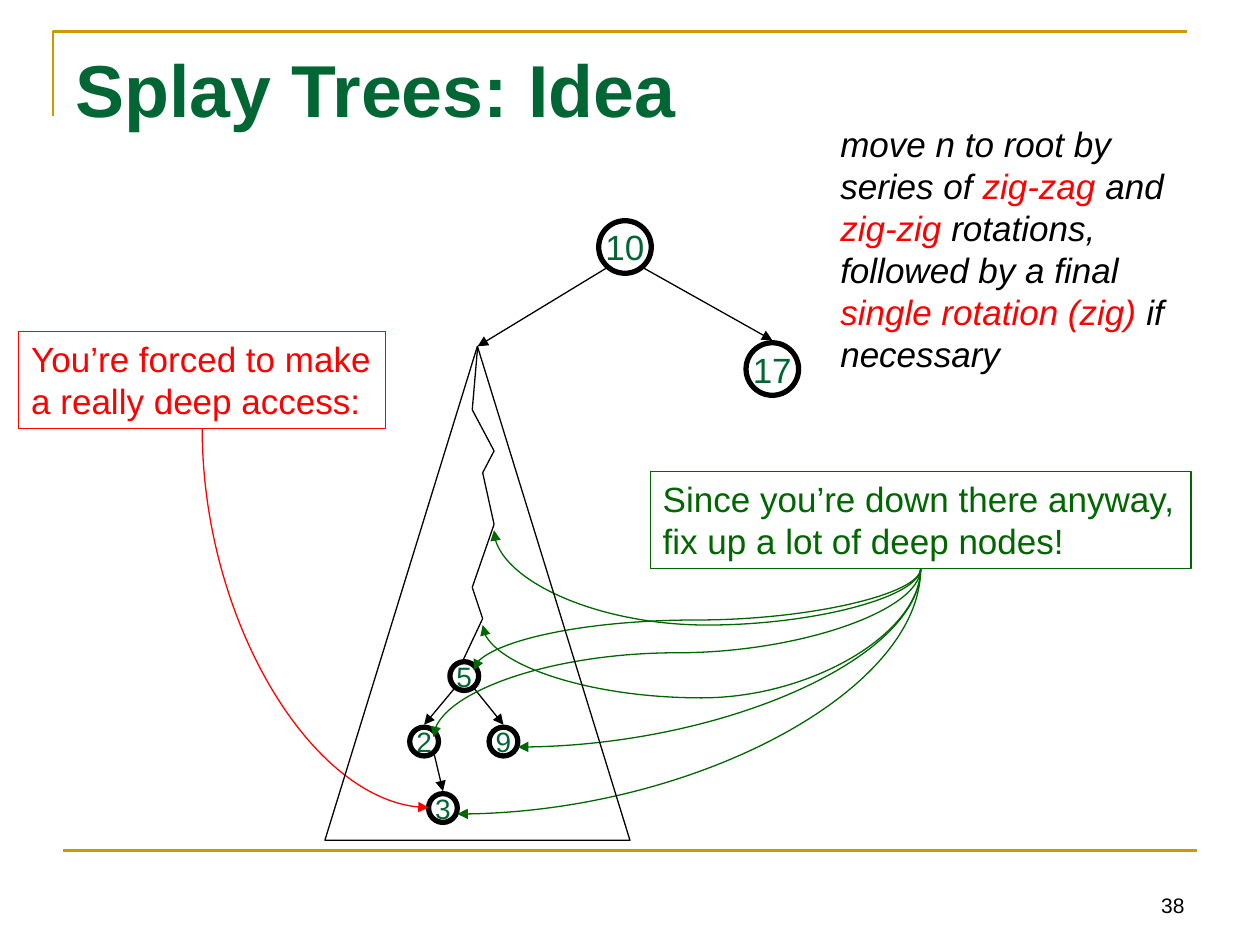
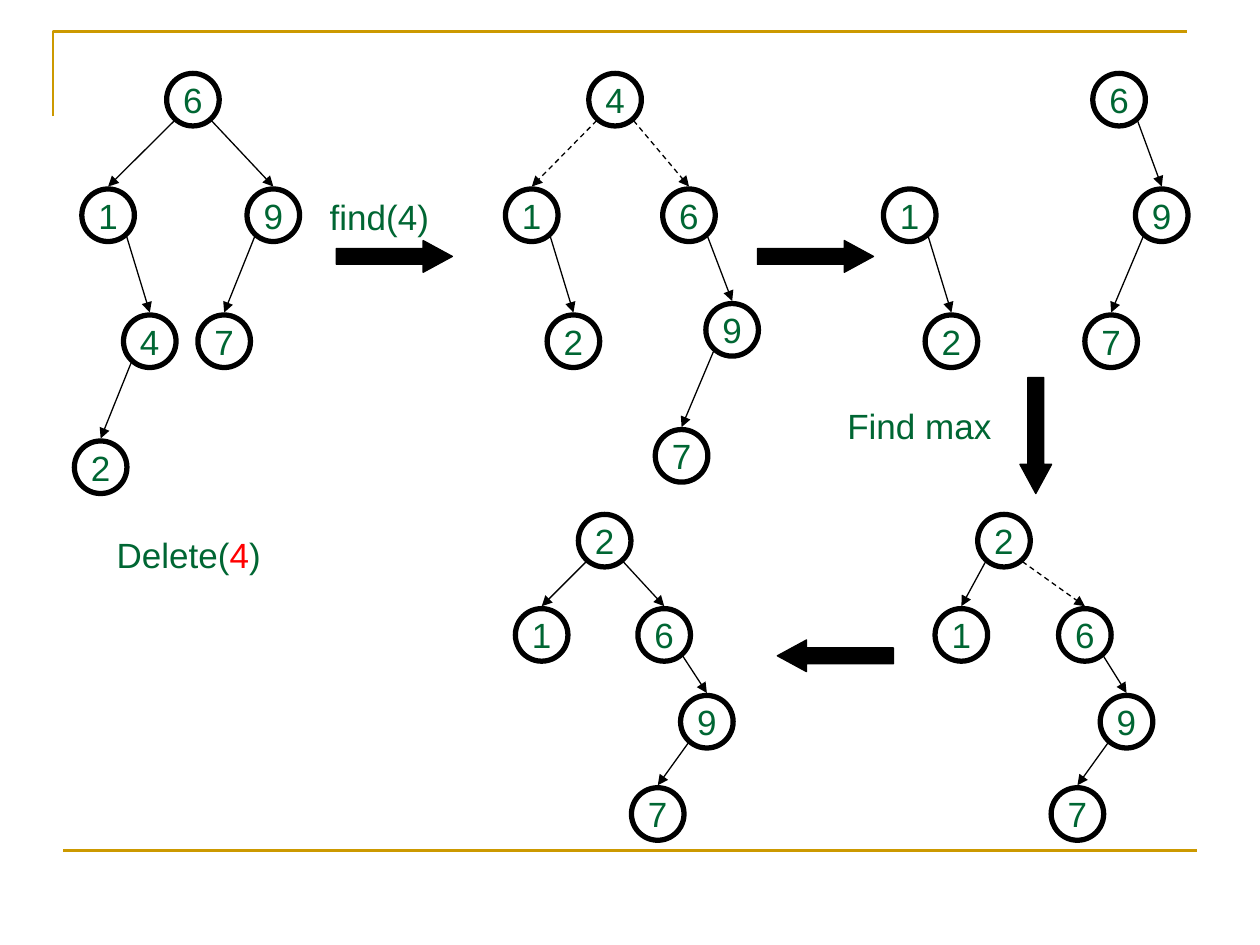
"""Build two slides on splay trees: the idea of splaying, and a deletion."""
from itertools import pairwise

from lxml import etree
from pptx import Presentation
from pptx.dml.color import RGBColor
from pptx.enum.dml import MSO_LINE
from pptx.enum.shapes import MSO_CONNECTOR, MSO_SHAPE
from pptx.enum.text import MSO_ANCHOR, PP_ALIGN
from pptx.oxml.ns import qn
from pptx.util import Cm, Pt

BLACK = RGBColor(0x00, 0x00, 0x00)
RED = RGBColor(0xFF, 0x00, 0x00)
GREEN = RGBColor(0x00, 0x66, 0x00)
PINE = RGBColor(0x00, 0x66, 0x33)
GOLD = RGBColor(0xCC, 0x99, 0x00)
FONT = "Arial"
DASH = MSO_LINE.DASH
OVAL, RECT = MSO_SHAPE.OVAL, MSO_SHAPE.RECTANGLE
CONE, ARROW = MSO_SHAPE.ISOSCELES_TRIANGLE, MSO_SHAPE.RIGHT_ARROW
STRAIGHT, CURVE = MSO_CONNECTOR.STRAIGHT, MSO_CONNECTOR.CURVE
TOP, MIDDLE, BOTTOM = MSO_ANCHOR.TOP, MSO_ANCHOR.MIDDLE, MSO_ANCHOR.BOTTOM
LEFT, CENTER, RIGHT = PP_ALIGN.LEFT, PP_ALIGN.CENTER, PP_ALIGN.RIGHT

BIG, SMALL, GAP = 0.53, 0.29, 0.05
FRAME = [(1.07, 2.34), (1.07, 0.64), (23.93, 0.64)]
FOOT = [(1.27, 17.15), (24.13, 17.15)]

TITLE = "Splay Trees: Idea"
NOTE = ["move n to root by series of ", "zig-zag", " and ", "zig-zig",
        " rotations, followed by a final ", "single rotation (zig)", " if necessary"]
UPPER = {10: (12.6, 4.98), 17: (15.57, 7.44)}
LOWER = {5: (9.36, 13.63), 2: (8.55, 14.95), 9: (10.15, 14.95), 3: (8.93, 16.29)}
SUBTREE = (6.55, 6.98, 6.15, 9.96)
TRAIL = [(9.63, 6.98), (9.52, 8.26), (9.96, 9.09), (9.73, 9.53),
         (9.96, 10.57), (9.52, 11.84), (9.73, 12.47), (9.32, 13.34)]
BOXES = [
    ("You’re forced to make\na really deep access:", (0.38, 6.68, 7.39, 1.96), RED,
     [(8.64, 16.28, None)]),
    ("Since you’re down there anyway,\nfix up a lot of deep nodes!",
     (13.11, 9.5, 10.9, 1.96), GREEN,
     [(9.22, 16.41, None), (8.74, 14.86, 13.16), (10.44, 15.06, None),
      (9.55, 13.51, 12.5), (9.73, 12.6, 14.07), (9.96, 10.69, 12.6)]),
]

ROW1, ROW2, ROW3, ROW4 = 2.01, 4.34, 6.88, 9.42
LOW1, LOW2, LOW3, LOW4 = 10.9, 12.8, 14.55, 16.41
TREES = [
    ({6: (3.89, ROW1), 1: (2.18, ROW2), 9: (5.51, ROW2), 4: (3.02, ROW3),
      7: (4.52, ROW3), 2: (2.03, ROW4)},
     [(6, 1), (6, 9), (1, 4), (9, 7), (4, 2)], []),
    ({4: (12.4, ROW1), 1: (10.72, ROW2), 6: (13.89, ROW2), 2: (11.56, ROW3),
      9: (14.76, 6.65), 7: (13.74, 9.19)},
     [(1, 2), (6, 9), (9, 7)], [(4, 1), (4, 6)]),
    ({1: (18.34, ROW2), 2: (19.18, ROW3)}, [(1, 2)], []),
    ({6: (22.56, ROW1), 9: (23.42, ROW2), 7: (22.4, ROW3)}, [(6, 9), (9, 7)], []),
    ({2: (20.24, LOW1), 1: (19.38, LOW2), 6: (21.87, LOW2), 9: (22.71, LOW3),
      7: (21.72, LOW4)},
     [(2, 1), (6, 9), (9, 7)], [(2, 6)]),
    ({2: (12.19, LOW1), 1: (10.92, LOW2), 6: (13.39, LOW2), 9: (14.25, LOW3),
      7: (13.26, LOW4)},
     [(2, 1), (2, 6), (6, 9), (9, 7)], []),
]
STEPS = [(6.78, 4.85, 0), (15.27, 4.85, 0), (19.71, 8.46, 90), (15.67, 12.9, 180)]
LABELS = [(["Delete(", "4", ")"], (2.08, 10.64, 3.45, 1.12)),
          (["find(4)"], (6.38, 3.81, 2.54, 1.12)),
          (["Find max"], (16.81, 8.03, 3.45, 1.12))]


def lengths(nums):
    return [Cm(n) for n in nums]


def style(font, size, color, bold=False, italic=False):
    font.name, font.size, font.bold, font.italic = FONT, Pt(size), bold, italic
    if color is not None:
        font.color.rgb = color


def write(shape, runs, size=20, color=PINE, align=LEFT, anchor=TOP, wrap=False, **face):
    """Write runs, with every second run in red."""
    frame = shape.text_frame
    frame.word_wrap, frame.vertical_anchor = wrap, anchor
    if len(runs) == 1:
        frame.text = runs[0]
    else:
        for i, words in enumerate(runs):
            run = frame.paragraphs[0].add_run()
            run.text = words
            run.font.color.rgb = RED if i % 2 else color
    for para in frame.paragraphs:
        para.alignment = align
        style(para.font, size, color if len(runs) == 1 else None, **face)


def label(slide, runs, box, **look):
    write(slide.shapes.add_textbox(*lengths(box)), runs, **look)


def shape(slide, kind, box, color=BLACK, width=0.75, solid=False):
    item = slide.shapes.add_shape(kind, *lengths(box))
    item.shadow.inherit = False
    if solid:
        item.fill.solid()
        item.fill.fore_color.rgb = color
    else:
        item.fill.background()
    item.line.color.rgb, item.line.width = color, Pt(width)
    return item


def line(slide, start, end, color=BLACK, width=0.75, head=False, dash=False, kind=STRAIGHT):
    link = slide.shapes.add_connector(kind, *lengths(start + end))
    link.line.color.rgb, link.line.width = color, Pt(width)
    if dash:
        link.line.dash_style = DASH
    if head:
        etree.SubElement(link.line._get_or_add_ln(), qn("a:tailEnd"), type="triangle")
    etree.SubElement(link._element.spPr, qn("a:effectLst"))
    return link


def curve(slide, start, end, bend, color):
    """Draw a curve that leaves start downwards and turns at height bend, if any."""
    (x1, y1), (x2, y2) = start, end
    wide, high = abs(y2 - y1), abs(x2 - x1)
    left, top = (x1 + x2 - wide) / 2, (y1 + y2 - high) / 2
    link = line(slide, (left, top), (left + wide, top + high), color, head=True, kind=CURVE)
    props = link._element.spPr
    props.xfrm.set("rot", str((270 if x2 > x1 else 90) * 60000))
    if x2 > x1 or y2 < y1:
        props.xfrm.set("flipH", "1")
    geom = props.find(qn("a:prstGeom"))
    if bend is None:
        geom.set("prst", "curvedConnector2")
    else:
        share = round((bend - y1) / (y2 - y1) * 100000)
        etree.SubElement(geom.find(qn("a:avLst")), qn("a:gd"),
                         name="adj1", fmla=f"val {share}")


def edge(slide, mom, tip, r, dash=False):
    side = 0.7 * r if tip[0] > mom[0] else -0.7 * r
    line(slide, (mom[0] + side, mom[1] + 0.7 * r + GAP), tip, head=True, dash=dash)


def tree(slide, nodes, solid, dashed=(), r=BIG, size=20):
    for key, (x, y) in nodes.items():
        disc = shape(slide, OVAL, (x - r, y - r, 2 * r, 2 * r), width=3)
        write(disc, [str(key)], size, align=CENTER, anchor=MIDDLE)
    for links, dash in ((solid, False), (dashed, True)):
        for mom, kid in links:
            x, y = nodes[kid]
            edge(slide, nodes[mom], (x, y - r - GAP), r, dash)


def page(deck):
    slide = deck.slides.add_slide(deck.slide_layouts[6])
    start, *rest = [lengths(spot) for spot in FRAME]
    pen = slide.shapes.build_freeform(*start)
    pen.add_line_segments(rest, close=False)
    rim = pen.convert_to_shape()
    rim.shadow.inherit = False
    rim.fill.background()
    rim.line.color.rgb, rim.line.width = GOLD, Pt(1.5)
    line(slide, *FOOT, GOLD, 1.5)
    return slide


def idea(deck):
    slide = page(deck)
    label(slide, [TITLE], (1.27, 0.76, 22.86, 3.18), size=42, bold=True, wrap=True)
    tree(slide, UPPER, [(10, 17)])
    edge(slide, UPPER[10], TRAIL[0], BIG)
    tree(slide, LOWER, [(5, 2), (5, 9), (2, 3)], r=SMALL, size=16)
    for start, end in pairwise(TRAIL):
        line(slide, start, end)
    for words, box, color, ends in BOXES:
        write(shape(slide, RECT, box, color), [words], color=color)
        x, y, wide, high = box
        for *end, bend in ends:
            curve(slide, (x + wide / 2, y + high), end, bend, color)
    shape(slide, CONE, SUBTREE)
    label(slide, NOTE, (16.69, 2.34, 7.44, 5.38), color=BLACK, wrap=True, italic=True)
    label(slide, ["38"], (18.21, 17.35, 5.92, 1.27), size=12, color=BLACK,
          align=RIGHT, anchor=BOTTOM, wrap=True)


def delete(deck):
    slide = page(deck)
    for parts in TREES:
        tree(slide, *parts)
    for x, y, turn in STEPS:
        step = shape(slide, ARROW, (x, y, 2.34, 0.64), solid=True)
        step.adjustments[1] = 0.92
        step.rotation = turn
    for runs, box in LABELS:
        label(slide, runs, box, align=CENTER)


def main():
    deck = Presentation()
    deck.slide_width, deck.slide_height = Cm(25.4), Cm(19.05)
    idea(deck)
    delete(deck)
    deck.save("out.pptx")


if __name__ == "__main__":
    main()
